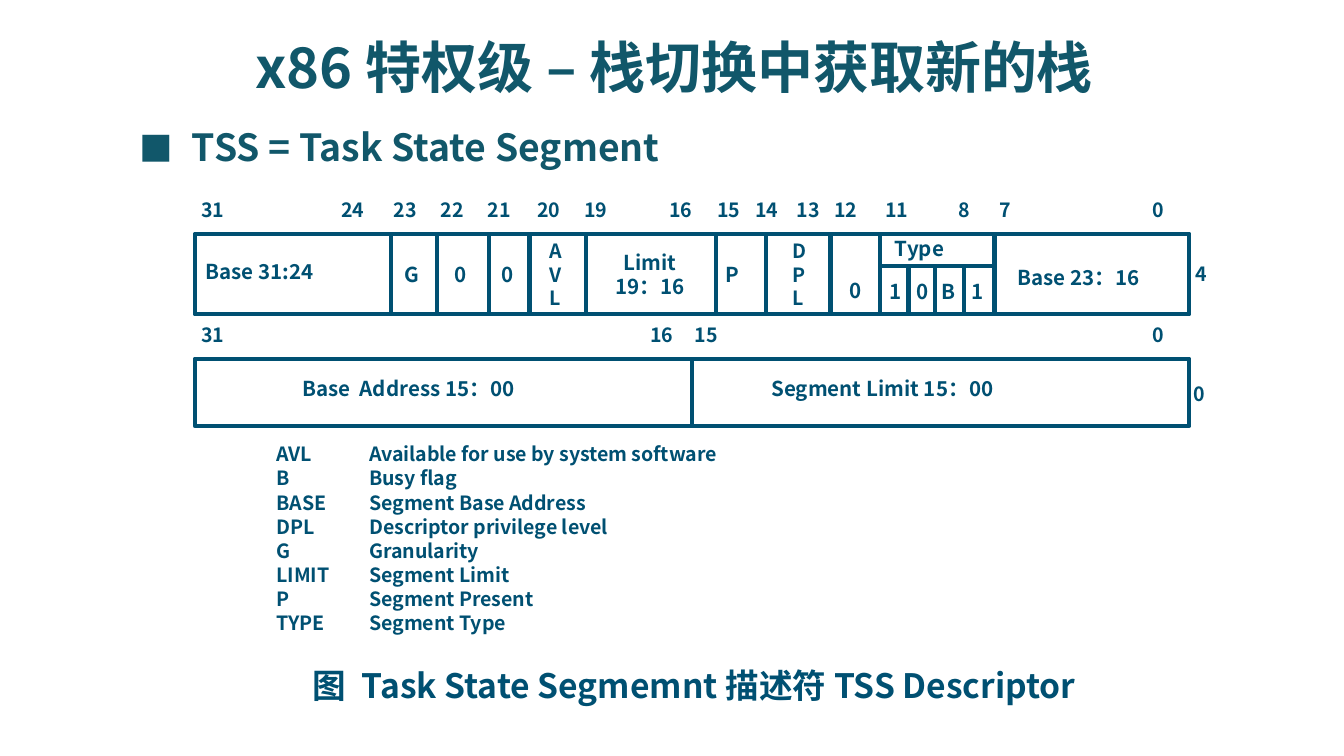
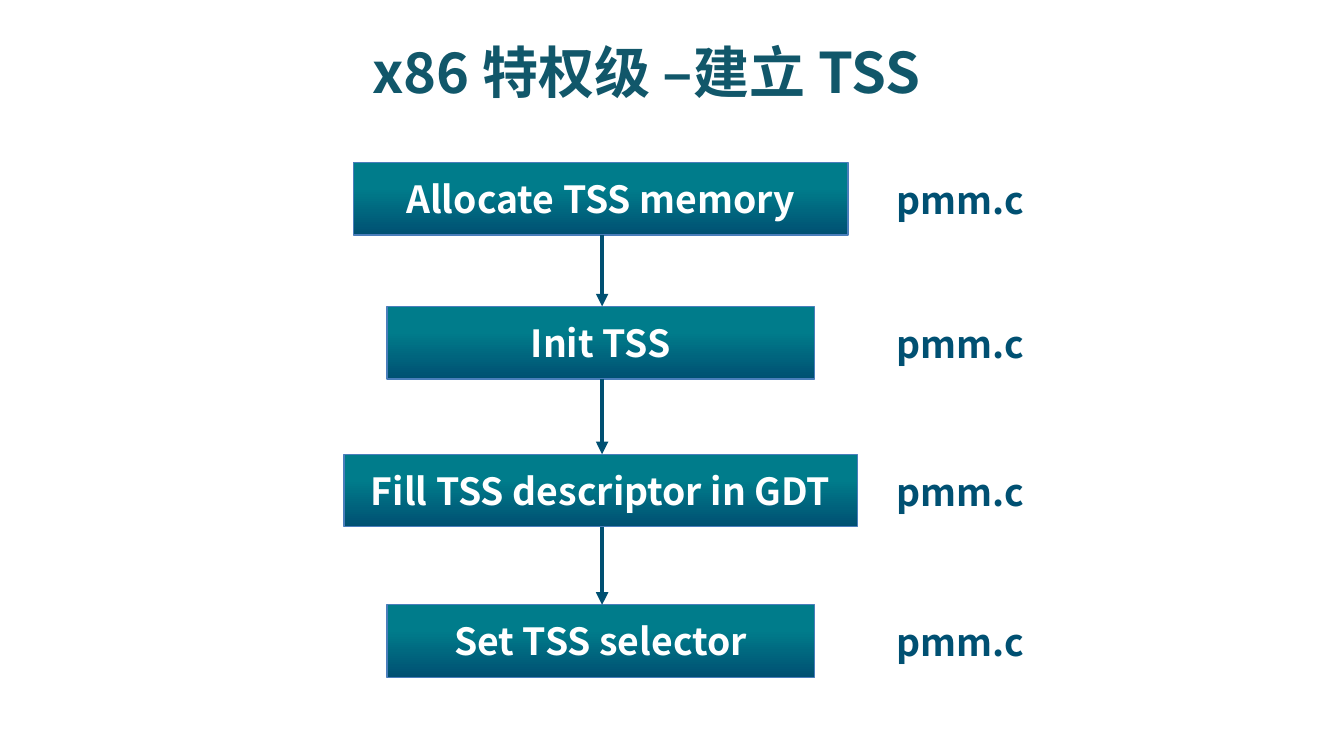
from lxml import etree
from pptx import Presentation, util as u
from pptx.dml.color import RGBColor
from pptx.enum import shapes, text
from pptx.oxml.ns import qn

PX = u.Inches(1) // 100  # 100 px to the inch

TITLE_TEAL = RGBColor(0x11, 0x57, 0x6A)
NAVY = RGBColor(0x00, 0x50, 0x72)
TEAL = RGBColor(0x00, 0x7C, 0x8B)
EDGE_BLUE = RGBColor(0x4A, 0x7E, 0xBB)
WHITE = RGBColor(0xFF, 0xFF, 0xFF)

FONT = "Noto Sans CJK SC"
BULLET_FONT = "Noto Sans CJK JP"
CENTER = text.PP_ALIGN.CENTER
BIT_SIZE, FIELD_SIZE = 10.5, 11

# Descriptor fields: text, left, top, width, relative to the word's box
HIGH_FIELDS = [
    ("Base 31:24", -2, 14, 160), ("G", 146, 16, 49), ("0", 190, 16, 13),
    ("0", 218, 16, 43), ("P", 385, 16, 36), ("Type", 511, -3, 170),
    ("0", 477, 28, 49), ("1", 507, 29, 49), ("0", 527, 29, 49),
    ("B", 546, 29, 49), ("1", 568, 29, 49), ("Base 23：16", 602, 18, 182),
]
LOW_FIELDS = [("Base  Address 15：00", 70, 8, 449),
              ("Segment Limit 15：00", 419, 8, 473)]
HIGH_BITS = {31: -5, 24: 99, 23: 138, 22: 173, 21: 208, 20: 245, 19: 280,
             16: 343, 15: 379, 14: 407, 13: 438, 12: 466, 11: 504,
             8: 558, 7: 589, 0: 703}
LOW_BITS = {31: -5, 16: 329, 15: 362, 0: 703}
HIGH_DIVIDERS = [146, 180, 219, 249, 291, 388, 425, 473, 510, 595]
TYPE_DIVIDERS = [531, 551, 572]

LEGEND = [
    ("AVL", "Available for use by system software"),
    ("B", "Busy flag"),
    ("BASE", "Segment Base Address"),
    ("DPL", "Descriptor privilege level"),
    ("G", "Granularity"),
    ("LIMIT", "Segment Limit"),
    ("P", "Segment Present"),
    ("TYPE", "Segment Type"),
]

# Flow steps: text, top, width
STEPS = [
    ("Allocate TSS memory", 0, 368),
    ("Init TSS", 107, 318),
    ("Fill TSS descriptor in GDT", 217, 382),
    ("Set TSS selector", 329, 318),
]


def px(*lengths):
    return [u.Emu(length * PX) for length in lengths]


def fill_text(frame, content, size, color, align=None, font=FONT, spacing=None):
    for index, line in enumerate(content.split("\n")):
        paragraph = frame.paragraphs[0] if index == 0 else frame.add_paragraph()
        paragraph.text = line
        paragraph.alignment = align
        paragraph.line_spacing = spacing
        paragraph.font.size = u.Pt(size)
        paragraph.font.bold = True
        paragraph.font.color.rgb = color
        paragraph.font.name = font
        defaults = paragraph._p.pPr.find(qn("a:defRPr"))
        etree.SubElement(defaults, qn("a:ea"), typeface=font)


def add_label(slide, content, box, size, color=NAVY, wrap=True, **style):
    shape = slide.shapes.add_textbox(*px(*box))
    shape.text_frame.word_wrap = wrap
    shape.text_frame.auto_size = text.MSO_AUTO_SIZE.SHAPE_TO_FIT_TEXT
    fill_text(shape.text_frame, content, size, color, **style)


def add_title(slide, content, box, spacing=None):
    add_label(slide, content, box, 30, TITLE_TEAL, spacing=spacing)


def add_line(slide, start, end, arrow=False):
    line = slide.shapes.add_connector(
        shapes.MSO_CONNECTOR.STRAIGHT, *px(*start, *end))
    line.line.color.rgb = NAVY
    line.line.width = u.Pt(2.25)
    if arrow:
        etree.SubElement(line.line._get_or_add_ln(), qn("a:tailEnd"),
                         type="triangle")
    etree.SubElement(line._element.spPr, qn("a:effectLst"))


def add_word(slide, box, dividers, bits, fields):
    """One 32-bit word: frame, dividers, bit numbers above, field names."""
    left, top, width, height = box
    frame = slide.shapes.add_shape(shapes.MSO_SHAPE.RECTANGLE, *px(*box))
    frame.shadow.inherit = False
    frame.fill.background()
    frame.line.color.rgb = NAVY
    frame.line.width = u.Pt(2.25)
    for x in dividers:
        add_line(slide, (left + x, top), (left + x, top + height))
    for bit, x in bits.items():
        add_label(slide, str(bit), (left + x, top - 32, 58, 28), BIT_SIZE)
    for name, x, y, field_width in fields:
        add_label(slide, name, (left + x, top + y, field_width, 29), FIELD_SIZE)


def add_high_word(slide, box):
    left, top, width, height = box
    add_word(slide, box, HIGH_DIVIDERS, HIGH_BITS, HIGH_FIELDS)
    # Type field, split into four bits
    add_line(slide, (left + 510, top + 24), (left + 595, top + 24))
    for x in TYPE_DIVIDERS:
        add_line(slide, (left + x, top + 24), (left + x, top + height))
    # Stacked field names
    add_label(slide, "A\nV\nL", (left + 254, top - 1, 44, 63), BIT_SIZE)
    add_label(slide, "D\nP\nL", (left + 435, top - 1, 49, 63), BIT_SIZE)
    add_label(slide, "Limit\n19：16", (left + 278, top + 7, 121, 47),
              FIELD_SIZE, align=CENTER)
    # Byte offset
    add_label(slide, "4", (left + width - 5, top + 16, 61, 28), BIT_SIZE)


def add_low_word(slide, box):
    left, top, width, height = box
    add_word(slide, box, [width // 2], LOW_BITS, LOW_FIELDS)
    add_label(slide, "0", (left + width - 7, top + 12, 37, 28), BIT_SIZE)


def add_legend(slide, left, top):
    for row, (key, meaning) in enumerate(LEGEND):
        y = top + 18 * row
        add_label(slide, key, (left, y, 92, 28), BIT_SIZE)
        add_label(slide, meaning, (left + 69, y, 426, 28), BIT_SIZE)


def add_flow(slide, left, top, width):
    height = 54
    for label, y, step_width in STEPS:
        step = slide.shapes.add_shape(
            shapes.MSO_SHAPE.FLOWCHART_PROCESS,
            *px(left + (width - step_width) // 2, top + y, step_width, height))
        step.shadow.inherit = False
        step.fill.gradient()
        step.fill.gradient_angle = 270
        for stop, position, color in zip(
                step.fill.gradient_stops, (0.35, 1), (TEAL, NAVY)):
            stop.position = position
            stop.color.rgb = color
        step.line.color.rgb = EDGE_BLUE
        step.line.width = u.Pt(0.75)
        step.text_frame.vertical_anchor = text.MSO_ANCHOR.MIDDLE
        fill_text(step.text_frame, label, 20, WHITE, align=CENTER)
        # Source file beside the step
        add_label(slide, "pmm.c", (left + width + 19, top + y + 6, 117, 44),
                  20, wrap=False)
    # Arrows between steps
    axis = left + width // 2 + 1
    for (_, upper, _), (_, lower, _) in zip(STEPS, STEPS[1:]):
        add_line(slide, (axis, top + upper + height), (axis, top + lower),
                 arrow=True)


def build_descriptor_slide(slide):
    add_title(slide, "x86 特权级 – 栈切换中获取新的栈", (180, 23, 764, 58), 0.95)
    add_label(slide, "TSS = Task State Segment", (133, 90, 422, 42), 20,
              TITLE_TEAL, spacing=0.95)
    add_label(slide, "■", (94, 90, 45, 40), 18, TITLE_TEAL, wrap=False,
              font=BULLET_FONT)
    add_high_word(slide, (145, 174, 740, 60))
    add_low_word(slide, (145, 267, 740, 50))
    add_legend(slide, 196, 324)
    add_label(slide, "图  Task State Segmemnt 描述符 TSS Descriptor",
              (223, 490, 651, 40), 18)


def build_setup_slide(slide):
    add_title(slide, "x86 特权级 –建立 TSS", (267, 23, 564, 61))
    add_flow(slide, 256, 121, 382)


def main():
    presentation = Presentation()
    # Widescreen, 16:9
    presentation.slide_width = u.Emu(1000 * PX)
    presentation.slide_height = u.Emu(presentation.slide_width * 9 // 16)
    blank = presentation.slide_layouts[6]
    for build in (build_descriptor_slide, build_setup_slide):
        build(presentation.slides.add_slide(blank))
    presentation.save("out.pptx")


if __name__ == "__main__":
    main()
